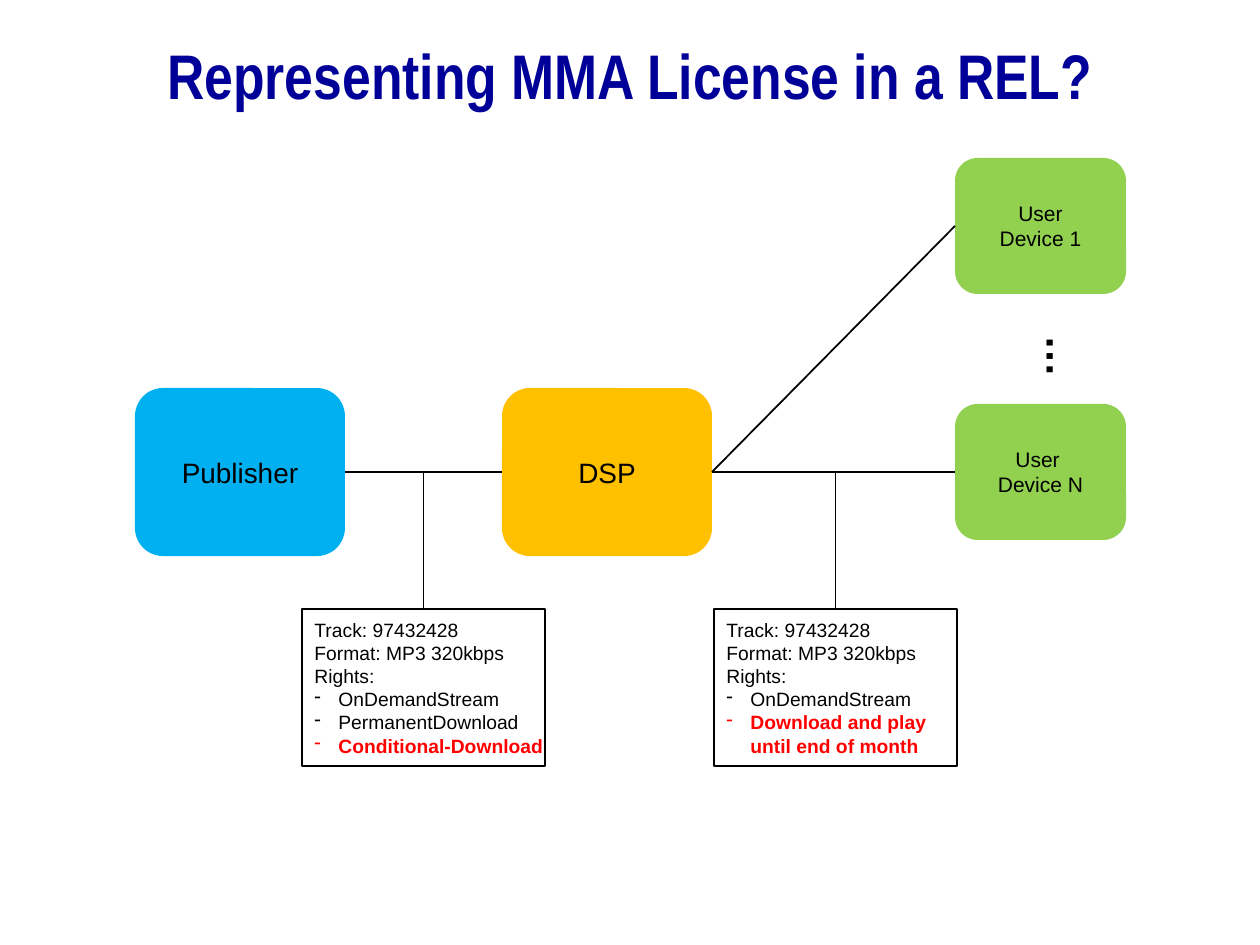
from copy import deepcopy
from lxml import etree
from pptx import Presentation, util as u
from pptx.dml.color import RGBColor
from pptx.enum import shapes, text
from pptx.oxml.ns import qn

# Content
TITLE = "Representing MMA License in a REL?"
NODES = {  # name: (lines, kind, left, top)
    "publisher": (["Publisher"], "publisher", 135, 388),
    "dsp": (["DSP"], "dsp", 502, 388),
    "device_1": (["User", "Device 1"], "device", 955, 158),
    "device_n": (["User ", "Device N"], "device", 955, 404),
}
LINKS = [("publisher", "dsp"), ("dsp", "device_1"), ("dsp", "device_n")]
TERMS = ["Track: 97432428", "Format: MP3 320kbps", "Rights:"]
LICENSES = [  # left, rights, highlighted right
    (302, ["OnDemandStream", "PermanentDownload"], "Conditional-Download"),
    (714, ["OnDemandStream"], "Download and play\nuntil end of month"),
]

# Theme: sizes in points, lengths in px
THEME = {
    "font": "Arial", "title_font": "Arial Narrow",
    "ink": "000000", "title": "000099", "alert": "FF0000",
    "publisher": ("00B0F0", 16, 210, 168),  # fill, type size, width, height
    "dsp": ("FFC000", 16, 210, 168),
    "device": ("92D050", 12, 171, 136),
    "title_size": 36, "dots_size": 24, "note_size": 11,
}
LICENSE_TOP, LICENSE_W, LICENSE_H = 609, 243, 157
INDENT = 24
SCALE = 914400 / 126


def px(n):
    return u.Emu(round(n * SCALE))


def rgb(name):
    return RGBColor.from_string(THEME.get(name, name))


def write(p, words, size, color="ink", bold=False, font="font", **form):
    p.text = words
    for key, value in form.items():
        setattr(p, key, value)
    for r in p.runs:
        for key, value in {"name": THEME[font], "size": u.Pt(size),
                           "bold": bold}.items():
            setattr(r.font, key, value)
        r.font.color.rgb = rgb(color)
    for br in p._p.findall(qn("a:br")):
        br.append(deepcopy(p.runs[0]._r.rPr))


def dash(p):
    pPr = p._p.get_or_add_pPr()
    pPr.set("marL", str(px(INDENT)))
    pPr.set("indent", str(-px(INDENT)))
    etree.SubElement(pPr, qn("a:buFontTx"))
    etree.SubElement(pPr, qn("a:buChar")).set("char", "-")


def paragraphs(tf, count):
    return [tf.paragraphs[0]] + [tf.add_paragraph() for _ in range(count - 1)]


def add_box(preset, left, top, width, height):
    sp = s.shapes.add_shape(preset, px(left), px(top), px(width), px(height))
    sp.shadow.inherit = False
    sp.text_frame.word_wrap = False
    sp.text_frame.vertical_anchor = text.MSO_ANCHOR.MIDDLE
    return sp


def add_line(start, side, end=None, end_side=None, to=(0, 0)):
    line = s.shapes.add_connector(shapes.MSO_CONNECTOR.STRAIGHT, 0, 0, *to)
    line.begin_connect(start, side)
    if end is not None:
        line.end_connect(end, end_side)
    line.line.color.rgb = rgb("ink")
    line.line.width = u.Pt(1)
    etree.SubElement(line._element.spPr, qn("a:effectLst"))


prs = Presentation()
prs.slide_width, prs.slide_height = u.Inches(10), u.Inches(7.5)
s = prs.slides.add_slide(prs.slide_layouts[6])

# Title
tf = s.shapes.add_textbox(px(32), px(42), px(1196), px(94)).text_frame
for key, value in {"word_wrap": True, "margin_left": px(5),
                   "margin_right": px(5)}.items():
    setattr(tf, key, value)
write(tf.paragraphs[0], TITLE, THEME["title_size"], "title", True, "title_font",
      alignment=text.PP_ALIGN.CENTER, line_spacing=0.85, space_before=u.Pt(3.6))

# Parties and devices
nodes = {}
for name, (lines, kind, left, top) in NODES.items():
    fill, size, width, height = THEME[kind]
    sp = add_box(shapes.MSO_SHAPE.ROUNDED_RECTANGLE, left, top, width, height)
    sp.fill.solid()
    sp.fill.fore_color.rgb = rgb(fill)
    sp.line.fill.background()
    for p, words in zip(paragraphs(sp.text_frame, len(lines)), lines):
        write(p, words, size, alignment=text.PP_ALIGN.CENTER)
    nodes[name] = sp

# Vertical dots between the devices
tf = s.shapes.add_textbox(px(1018), px(323), px(77), px(55)).text_frame
tf.word_wrap = False
tf._txBody.bodyPr.set("vert", "eaVert")
write(tf.paragraphs[0], "…", THEME["dots_size"], bold=True)

# Links run from right side to left side
for start, end in LINKS:
    add_line(nodes[start], 3, nodes[end], 1)

# License notes, each hung from the middle line
dsp = nodes["dsp"]
middle = dsp.top + dsp.height // 2
for left, rights, highlight in LICENSES:
    sp = add_box(shapes.MSO_SHAPE.RECTANGLE, left, LICENSE_TOP, LICENSE_W, LICENSE_H)
    sp.fill.background()
    sp.line.color.rgb = rgb("ink")
    sp.line.width = u.Pt(1)
    lines = TERMS + rights + [highlight]
    for i, p in enumerate(paragraphs(sp.text_frame, len(lines))):
        alert = lines[i] == highlight
        write(p, lines[i], THEME["note_size"], "alert" if alert else "ink", alert,
              alignment=text.PP_ALIGN.LEFT)
        if i >= len(TERMS):
            dash(p)
    add_line(sp, 0, to=(sp.left + sp.width // 2, middle))

prs.save("out.pptx")
